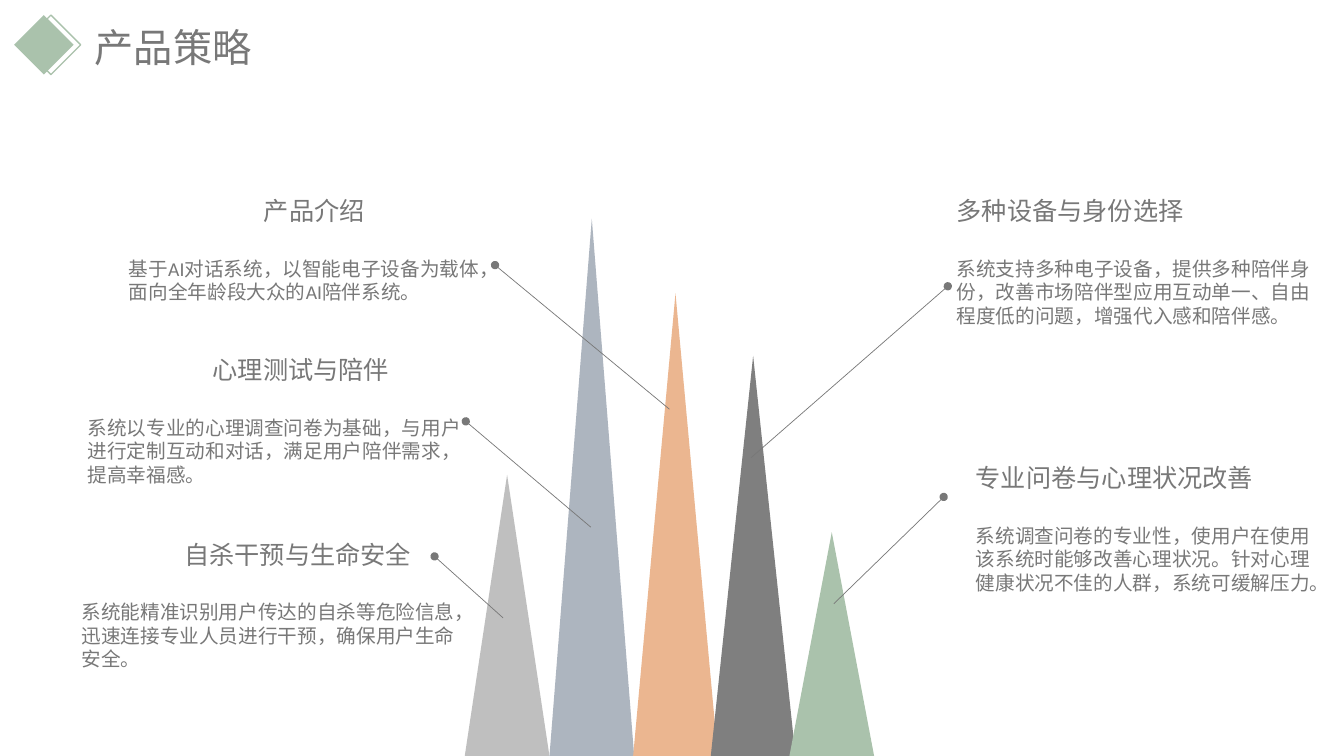
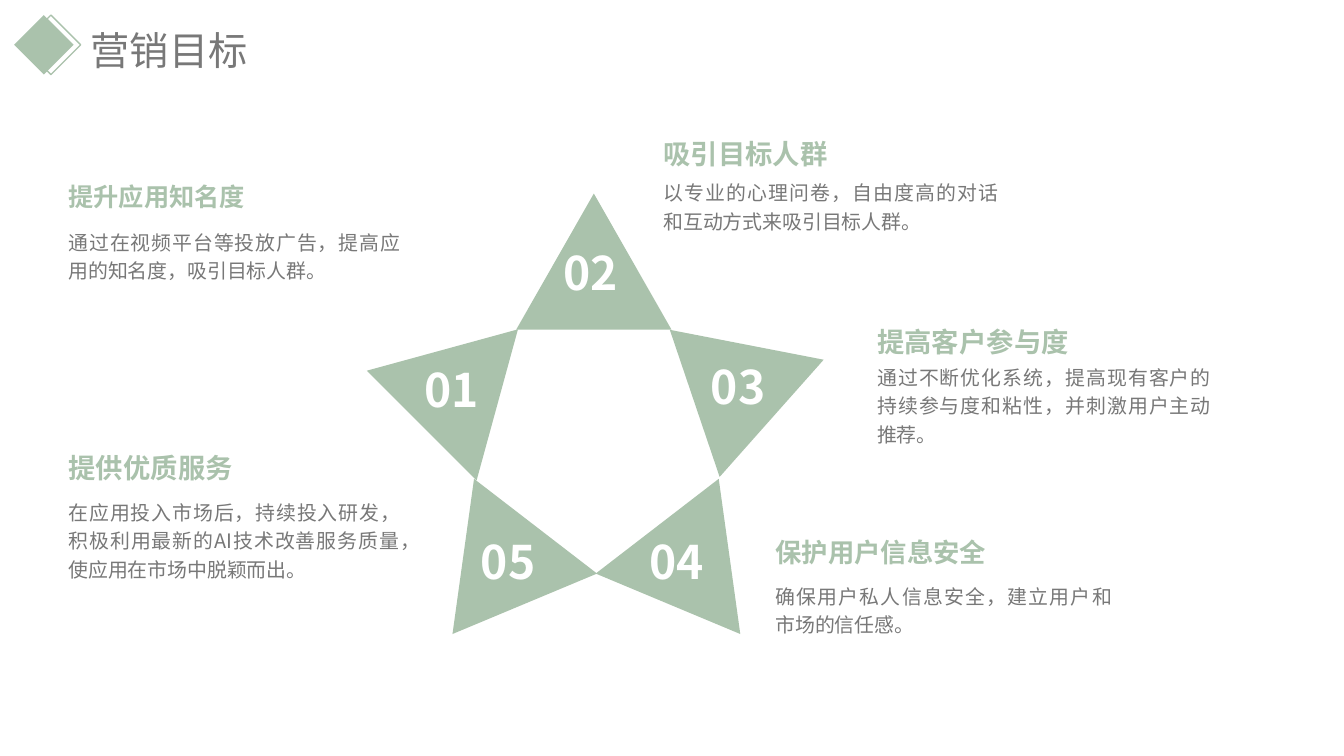
from lxml import etree
from pptx import Presentation
from pptx import util as u
from pptx.dml.color import RGBColor
from pptx.enum import shapes, text
from pptx.oxml.ns import qn

PX = 9144
GREEN = RGBColor(0xAA, 0xC2, 0xAC)
GREY = RGBColor(0x78, 0x78, 0x78)
WHITE = RGBColor(0xFF, 0xFF, 0xFF)
SILVER = RGBColor(0xBF, 0xBF, 0xBF)
STEEL = RGBColor(0xAD, 0xB5, 0xBF)
PEACH = RGBColor(0xEB, 0xB6, 0x90)
DARK = RGBColor(0x7F, 0x7F, 0x7F)
NOTO, LATIN = "Noto Sans CJK SC", "Calibri"
WIDE, TALL = 1333, 750

PEAKS = [
    (461, 471, SILVER),
    (545, 217, STEEL),
    (628, 291, PEACH),
    (705, 353, DARK),
    (783, 528, GREEN),
]
LEADS = [
    (827, 599, 936, 493),
    (745, 454, 940, 284),
    (664, 406, 491, 263),
    (586, 523, 462, 418),
    (499, 613, 431, 552),
]
NOTES = [
    (118, 189, 377, 134, "产品介绍",
     "基于AI对话系统，以智能电子设备为载体，面向全年龄段大众的AI陪伴系统。"),
    (77, 347, 405, 124, "心理测试与陪伴",
     "系统以专业的心理调查问卷为基础，与用户进行定制互动和对话，满足用户陪伴需求，提高幸福感。"),
    (71, 530, 397, 102, "自杀干预与生命安全",
     "系统能精准识别用户传达的自杀等危险信息，迅速连接专业人员进行干预，确保用户生命安全。"),
    (939, 189, 377, 0, "多种设备与身份选择",
     "系统支持多种电子设备，提供多种陪伴身份，改善市场陪伴型应用互动单一、自由程度低的问题，增强代入感和陪伴感。"),
    (958, 454, 367, 0, "专业问卷与心理状况改善",
     "系统调查问卷的专业性，使用户在使用该系统时能够改善心理状况。针对心理健康状况不佳的人群，系统可缓解压力。"),
]
POINTS = [
    ("01", 389, 307, 45, 409, 355),
    ("02", 512, 192, 0, 547, 239),
    ("03", 676, 311, 71.3, 693, 352),
    ("04", 616, 508, 142.4, 632, 525),
    ("05", 413, 508, 217.6, 465, 525),
]
GOALS = [
    (56, 175, 218, 353, 18, "提升应用知名度",
     "通过在视频平台等投放广告，提高应用的知名度，吸引目标人群。"),
    (646, 132, 169, 356, 19.5, "吸引目标人群",
     "以专业的心理问卷，自由度高的对话和互动方式来吸引目标人群。"),
    (858, 318, 352, 355, 19.5, "提高客户参与度",
     "通过不断优化系统，提高现有客户的持续参与度和粘性，并刺激用户主动推荐。"),
    (757, 527, 569, 358, 18.8, "保护用户信息安全",
     "确保用户私人信息安全，建立用户和市场的信任感。"),
    (56, 443, 486, 353, 19.5, "提供优质服务",
     "在应用投入市场后，持续投入研发，积极利用最新的AI技术改善服务质量，使应用在市场中脱颖而出。"),
]


def px(*vals):
    return [round(v * PX) for v in vals]


def style(para, size, color, face, bold=False, lead=None):
    font = para.font
    font.size, font.bold, font.name = u.Pt(size), bold, face
    font.color.rgb = color
    props = para._p.pPr.find(qn("a:defRPr"))
    etree.SubElement(props, qn("a:ea")).set("typeface", face)
    if lead:
        para.line_spacing = u.Pt(round(size * lead, 1))


def shape(slide, kind, box, fill=None, line=None):
    item = slide.shapes.add_shape(kind, *px(*box))
    item.shadow.inherit = False
    if fill is None:
        item.fill.background()
    else:
        item.fill.solid()
        item.fill.fore_color.rgb = fill
    if line is None:
        item.line.fill.background()
    else:
        item.line.color.rgb = line
        item.line.width = u.Pt(1)
    return item


def frame(slide, box, side=10, edge=5):
    body = slide.shapes.add_textbox(*px(*box)).text_frame
    body.word_wrap = True
    body.margin_left, body.margin_right = px(side, side)
    body.margin_top, body.margin_bottom = px(edge, edge)
    return body


def label(slide, box, words, size, color, bold, lead):
    para = frame(slide, box, 12, 6).paragraphs[0]
    para.text = words
    style(para, size, color, NOTO, bold, lead)
    return para


def lead_line(slide, ends):
    line = slide.shapes.add_connector(shapes.MSO_CONNECTOR.STRAIGHT, *px(*ends))
    line.line.color.rgb = GREY
    line.line.width = u.Pt(0.5)
    props = line._element.spPr
    etree.SubElement(props.find(qn("a:ln")), qn("a:tailEnd")).set("type", "oval")
    etree.SubElement(props, qn("a:effectLst"))


def page(deck, words, left, top):
    slide = deck.slides.add_slide(deck.slide_layouts[5])
    title = slide.shapes.title
    title.left, title.top, title.width, title.height = px(left, top, 334, 57)
    body = title.text_frame
    body.text = words
    body.auto_size = text.MSO_AUTO_SIZE.NONE
    body.vertical_anchor = text.MSO_ANCHOR.MIDDLE
    para = body.paragraphs[0]
    para.alignment = text.PP_ALIGN.LEFT
    style(para, 28, GREY, NOTO)
    kind = shapes.MSO_SHAPE.DIAMOND
    shape(slide, kind, (14, 15, 59, 59), fill=GREEN)
    shape(slide, kind, (21, 15, 59, 59), line=GREEN)
    return slide


def plan(deck):
    slide = page(deck, "产品策略", 84, 18)
    for left, top, color in PEAKS:
        shape(slide, shapes.MSO_SHAPE.ISOSCELES_TRIANGLE,
              (left, top, 84, TALL - top), fill=color)
    for ends in LEADS:
        lead_line(slide, ends)
    for left, top, width, indent, head, words in NOTES:
        body = frame(slide, (left, top, width, 141))
        first, last = body.paragraphs[0], body.add_paragraph()
        first.text, last.text = head, words
        style(first, 18, GREY, LATIN, lead=1.2)
        style(last, 14, GREY, LATIN, lead=1.2)
        first._p.pPr.set("marL", str(px(indent)[0]))
        last.space_before = u.Pt(22)


def goals(deck):
    slide = page(deck, "营销目标", 80, 21)
    for num, left, top, turn, x, y in POINTS:
        tip = shape(slide, shapes.MSO_SHAPE.ISOSCELES_TRIANGLE,
                    (left, top, 154, 135), fill=GREEN)
        tip.rotation = turn
        label(slide, (x, y, 128, 67), num, 33, WHITE, True, 1.15)
    for left, top, low, width, size, head, words in GOALS:
        label(slide, (left, top, 251, 47), head, size, GREEN, True, 1.15)
        para = label(slide, (left, low, width, 104), words, 14.2, GREY, False, 1.44)
        para.alignment = text.PP_ALIGN.JUSTIFY


def main():
    deck = Presentation()
    deck.slide_width, deck.slide_height = px(WIDE, TALL)
    plan(deck)
    goals(deck)
    deck.save("out.pptx")


if __name__ == "__main__":
    main()
